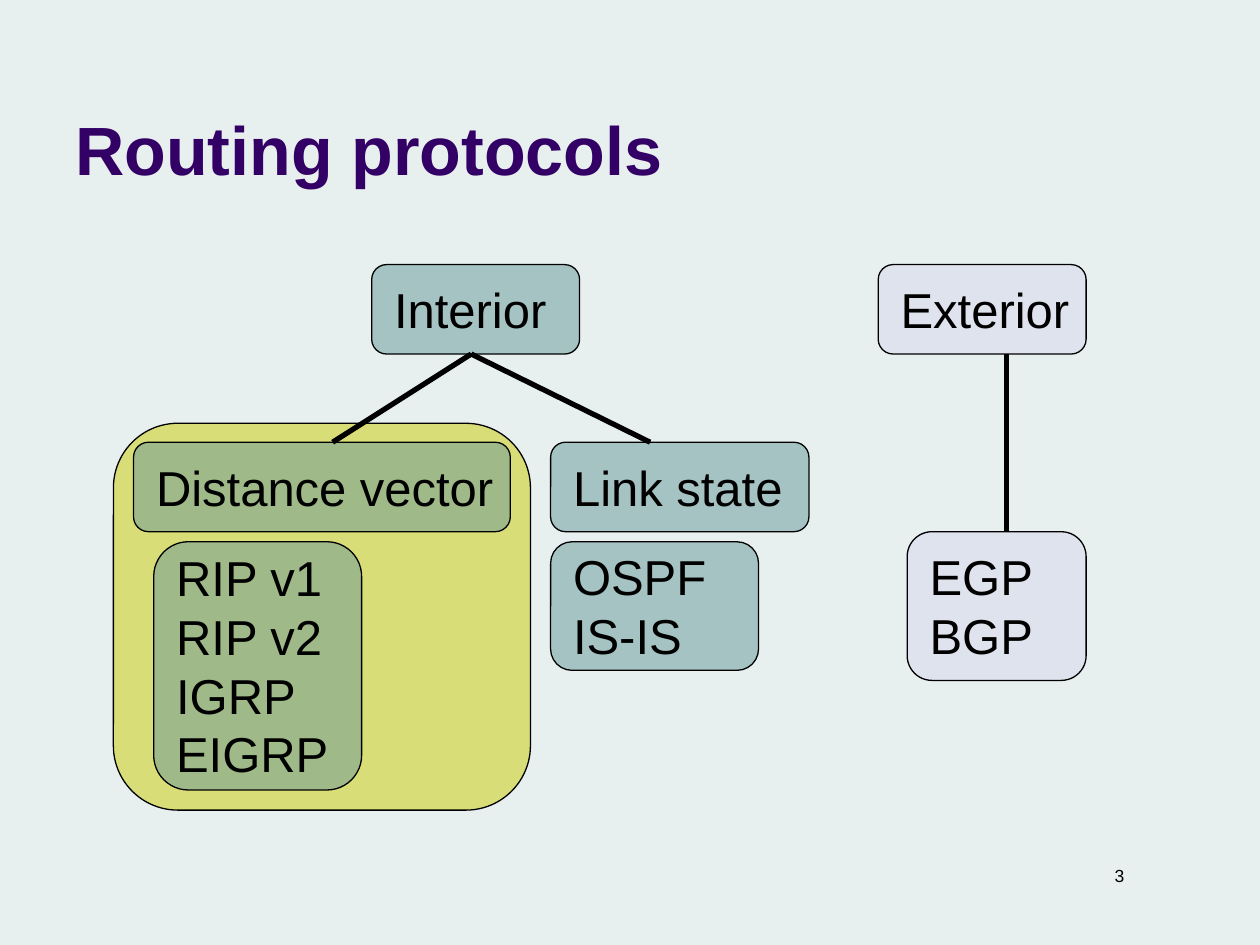
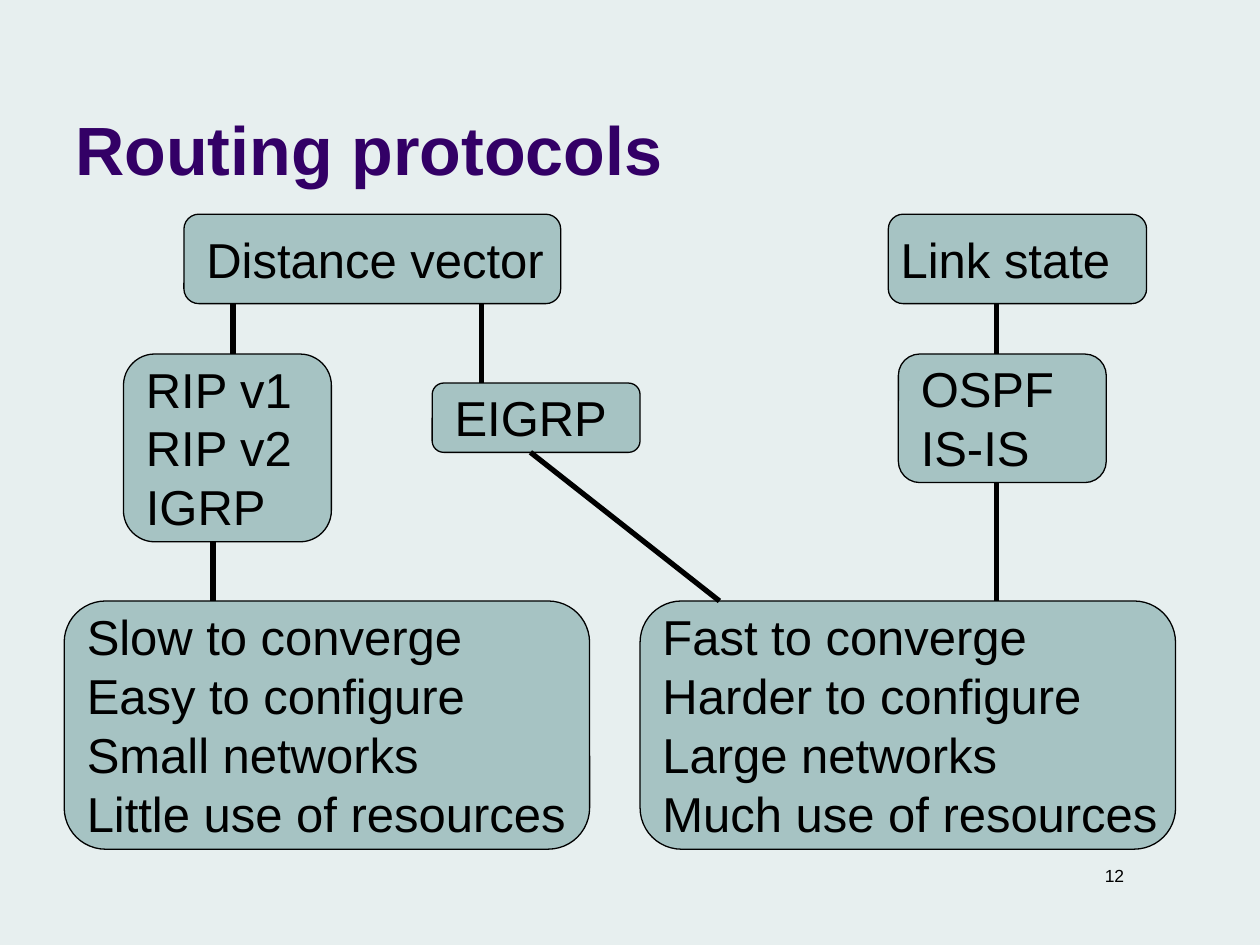
from lxml.etree import SubElement
from pptx import Presentation
from pptx.dml.color import RGBColor
from pptx.enum.shapes import MSO_CONNECTOR, MSO_SHAPE
from pptx.enum.text import MSO_ANCHOR, PP_ALIGN
from pptx.oxml.ns import qn
from pptx.util import Inches, Pt

FONT = "Arial"
BACKGROUND = RGBColor(0xE7, 0xEF, 0xEF)
PURPLE = RGBColor(0x33, 0x00, 0x66)
BLACK = RGBColor(0x00, 0x00, 0x00)
TEAL = RGBColor(0x66, 0x99, 0x99)
LAVENDER = RGBColor(0xD8, 0xD8, 0xEC)
OLIVE = RGBColor(0xCC, 0xCC, 0x00)

LABEL_H = 0.71
LINE_H = 0.47
PADDING = 0.1


def add_text(shapes, box, text, size=28, color=BLACK, bold=False,
             align=PP_ALIGN.LEFT, anchor=MSO_ANCHOR.TOP):
    """Add a text box whose lines share one paragraph."""
    tf = shapes.add_textbox(*map(Inches, box)).text_frame
    tf.word_wrap = True
    tf.vertical_anchor = anchor
    p = tf.paragraphs[0]
    p.alignment = align
    p.text = text
    for r in p.runs:
        r.font.name = FONT
        r.font.size = Pt(size)
        r.font.bold = bold
        r.font.color.rgb = color


def add_panel(shapes, box, color=TEAL):
    """Add a half-transparent rounded panel with a thin outline."""
    sp = shapes.add_shape(MSO_SHAPE.ROUNDED_RECTANGLE, *map(Inches, box))
    sp.shadow.inherit = False
    sp.fill.solid()
    sp.fill.fore_color.rgb = color
    clr = sp.fill._xPr.find(qn("a:solidFill"))[0]
    SubElement(clr, qn("a:alpha")).set("val", "50000")
    sp.line.color.rgb = BLACK
    sp.line.width = Pt(0.75)


def add_node(shapes, box, text, color=TEAL, text_w=2.2, indent=0.08):
    """Add a panel with its text centred vertically on it."""
    left, top, _, height = box
    text_h = LINE_H * len(text.split("\n")) + PADDING
    add_panel(shapes, box, color)
    add_text(shapes, (left + indent, top + (height - text_h) / 2, text_w, text_h), text)


def add_link(s, x1, y1, x2, y2):
    """Join two nodes with a thick black line."""
    cn = s.shapes.add_connector(MSO_CONNECTOR.STRAIGHT, *map(Inches, (x1, y1, x2, y2)))
    cn.line.color.rgb = BLACK
    cn.line.width = Pt(3)
    SubElement(cn._element.spPr, qn("a:effectLst"))


def add_base(prs, number):
    """Add a slide with the shared background, title and number."""
    s = prs.slides.add_slide(prs.slide_layouts[6])
    s.background.fill.solid()
    s.background.fill.fore_color.rgb = BACKGROUND
    add_text(s.shapes, (6.97, 6.82, 2.05, 0.27), str(number), size=10, align=PP_ALIGN.RIGHT)
    add_text(s.shapes, (0.5, 0.13, 8.25, 1.42), "Routing protocols", size=39,
             color=PURPLE, bold=True, anchor=MSO_ANCHOR.BOTTOM)
    return s


def add_interior(s, left, top):
    """Draw the interior protocols, with distance vector highlighted."""
    family_top = top + 1.41
    list_top = family_top + 0.79
    root_x, root_y = left + 2.84, top + LABEL_H
    add_panel(s.shapes, (left, family_top - 0.15, 3.31, 3.07), OLIVE)
    add_node(s.shapes, (left + 0.32, list_top, 1.65, 1.97),
             "RIP v1\nRIP v2\nIGRP\nEIGRP", text_w=1.5)
    add_node(s.shapes, (left + 3.47, list_top, 1.65, 1.02), "OSPF\nIS-IS")
    add_node(s.shapes, (left + 3.47, family_top, 2.05, LABEL_H), "Link state")
    add_node(s.shapes, (left + 0.16, family_top, 2.99, LABEL_H), "Distance vector", text_w=3.23)
    add_node(s.shapes, (left + 2.05, top, 1.65, LABEL_H), "Interior")
    for x in (left + 1.74, left + 4.26):
        add_link(s, root_x, root_y, x, family_top)


def add_exterior(s, left, top):
    """Draw the exterior protocols."""
    list_top = top + 2.12
    add_node(s.shapes, (left + 0.23, list_top, 1.42, 1.18), "EGP\nBGP", LAVENDER)
    add_node(s.shapes, (left, top, 1.65, LABEL_H), "Exterior", LAVENDER)
    add_link(s, left + 1.02, top + LABEL_H, left + 1.02, list_top)


def add_comparison(s, left, top):
    """Draw both protocol families and the traits they lead to."""
    label_bottom = top + LABEL_H
    list_top, traits_top = top + 1.11, top + 3.07
    eigrp_top = top + 1.34
    nodes = [
        ((left + 0.47, list_top, 1.65, 1.49), "RIP v1\nRIP v2\nIGRP", 1.5, 0.08),
        ((left + 0.95, top, 2.99, LABEL_H), "Distance vector", 3.23, 0.08),
        ((left + 6.54, top, 2.05, LABEL_H), "Link state", 2.2, 0),
        ((left + 6.62, list_top, 1.65, 1.02), "OSPF\nIS-IS", 2.2, 0.08),
        ((left + 2.92, eigrp_top, 1.65, 0.55), "EIGRP", 1.5, 0.08),
        ((left, traits_top, 4.17, 1.97),
         "Slow to converge\nEasy to configure\nSmall networks\nLittle use of resources", 4.02, 0.08),
        ((left + 4.57, traits_top, 4.25, 1.97),
         "Fast to converge\nHarder to configure\nLarge networks\nMuch use of resources", 4.33, 0.08),
    ]
    for box, text, text_w, indent in nodes:
        group = s.shapes.add_group_shape()
        add_node(group.shapes, box, text, text_w=text_w, indent=indent)
    links = [
        (1.34, label_bottom, 1.34, list_top),
        (3.31, label_bottom, 3.31, eigrp_top),
        (1.18, list_top + 1.49, 1.18, traits_top),
        (7.4, label_bottom, 7.4, list_top),
        (7.4, list_top + 1.02, 7.4, traits_top),
        (3.7, eigrp_top + 0.55, 5.2, traits_top),
    ]
    for x1, y1, x2, y2 in links:
        add_link(s, left + x1, y1, left + x2, y2)


def main():
    """Build and save the presentation."""
    prs = Presentation()
    prs.slide_width, prs.slide_height = Inches(10), Inches(7.5)
    s = add_base(prs, 3)
    add_interior(s, 0.9, 2.1)
    add_exterior(s, 6.97, 2.1)
    s = add_base(prs, 12)
    add_comparison(s, 0.51, 1.7)
    prs.save("out.pptx")


if __name__ == "__main__":
    main()
